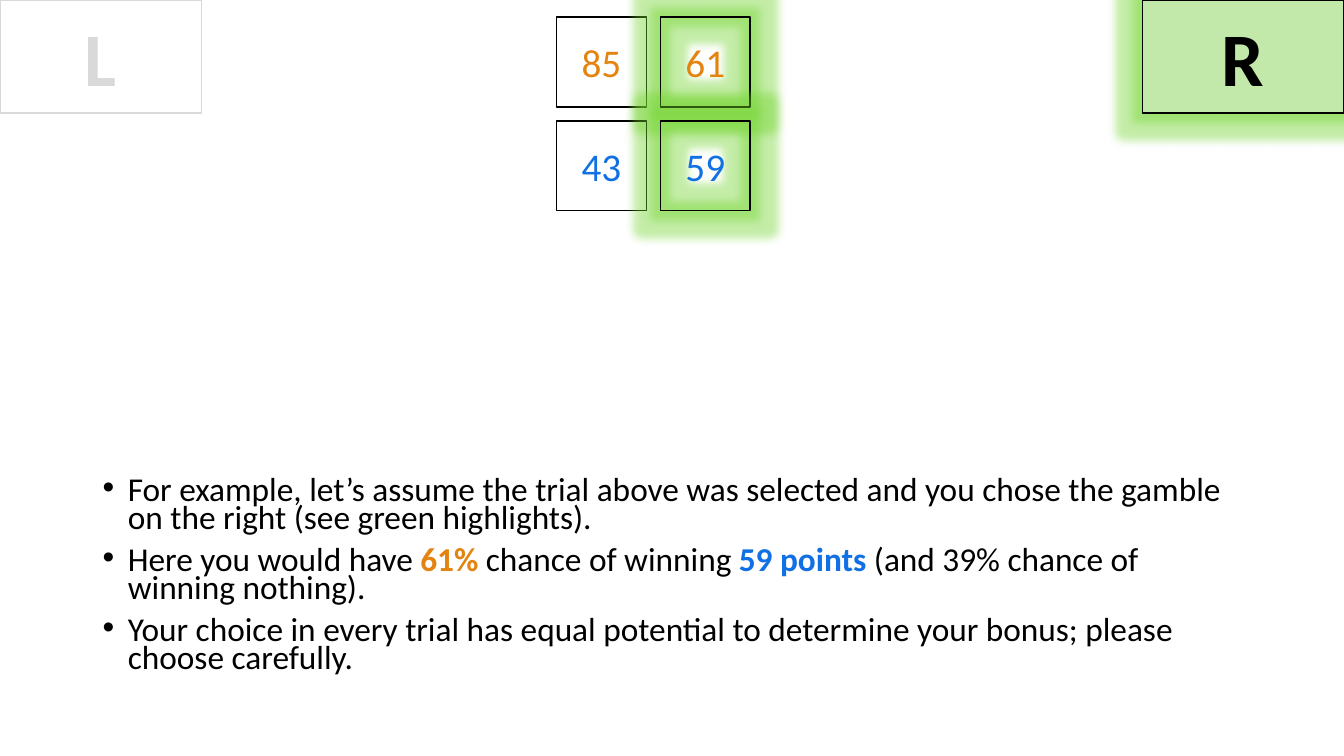
from lxml import etree
from pptx import Presentation
from pptx.dml.color import RGBColor
from pptx.enum.shapes import MSO_SHAPE as Shape
from pptx.enum.text import MSO_ANCHOR as Anchor, PP_ALIGN as Align
from pptx.oxml.ns import qn
from pptx.util import Inches, Pt

BLACK = RGBColor(0x00, 0x00, 0x00)
WHITE = RGBColor(0xFF, 0xFF, 0xFF)
GRAY = RGBColor(0xD9, 0xD9, 0xD9)
ORANGE = RGBColor(0xE3, 0x84, 0x11)
BLUE = RGBColor(0x11, 0x70, 0xE3)
PALE_GREEN = RGBColor(0xE2, 0xF0, 0xD9)
GLOW_GREEN = RGBColor(0x6C, 0xD3, 0x25)
FONT = "Calibri"


def add_span(para, text, size, color, bold=False):
    span = para.add_run()
    span.text = text
    font = span.font
    font.name, font.size, font.bold = FONT, Pt(size), bold
    font.color.rgb = color


def set_alpha(color_element, percent):
    etree.SubElement(color_element, qn("a:alpha"), val=str(percent * 1000))


def add_glow(box):
    effects = box._element.spPr.find(qn("a:effectLst"))
    glow = etree.SubElement(effects, qn("a:glow"), rad=str(Inches(0.18)))
    color = etree.SubElement(glow, qn("a:srgbClr"), val=str(GLOW_GREEN))
    set_alpha(color, 40)


def add_box(page, left, top, width, height, text, size, color,
            line=BLACK, fill=None, bold=False, chosen=False):
    box = page.shapes.add_shape(Shape.RECTANGLE, Inches(left), Inches(top),
                                Inches(width), Inches(height))
    box.shadow.inherit = False
    if fill is None:
        box.fill.background()
    else:
        box.fill.solid()
        box.fill.fore_color.rgb = fill
    box.line.color.rgb = line
    box.line.width = Pt(1)
    if chosen:
        add_glow(box)
    box.text_frame.vertical_anchor = Anchor.MIDDLE
    para = box.text_frame.paragraphs[0]
    para.alignment = Align.CENTER
    add_span(para, text, size, color, bold)
    return box


def add_buttons(page, left, top, width):
    """Left and right choice buttons at the two ends of the given width."""
    button_width, button_height = 2, 1.12
    add_box(page, left, top, button_width, button_height, "L", 54, GRAY,
            line=GRAY, fill=WHITE, bold=True)
    right = add_box(page, left + width - button_width, top, button_width,
                    button_height, "R", 54, BLACK, fill=PALE_GREEN,
                    bold=True, chosen=True)
    set_alpha(right._element.spPr.find(".//" + qn("a:srgbClr")), 54)


def add_gambles(page, left, top):
    """Chances over points, one column per gamble; the right one is chosen."""
    side, pitch = 0.89, 1.03
    rows = [(ORANGE, ("85", "61")), (BLUE, ("43", "59"))]
    for row, (color, values) in enumerate(rows):
        for column, value in enumerate(values):
            add_box(page, left + column * pitch, top + row * pitch, side, side,
                    value, 28, color, chosen=column == 1)


def add_explanation(page, left, top, width, height):
    """Bulleted text; each bullet is a list of (text, color, bold) spans."""
    bullets = [
        [("For example, let’s assume the trial above was selected and you "
          "chose the gamble on the right (see green highlights).", BLACK, False)],
        [("Here you would have ", BLACK, False),
         ("61% ", ORANGE, True),
         ("chance of winning ", BLACK, False),
         ("59 points ", BLUE, True),
         ("(and 39% chance of winning nothing).", BLACK, False)],
        [("Your choice in every trial has equal potential to determine your "
          "bonus; please choose carefully.", BLACK, False)],
    ]
    frame = page.shapes.add_textbox(Inches(left), Inches(top), Inches(width),
                                    Inches(height)).text_frame
    frame.word_wrap = True
    for index, spans in enumerate(bullets):
        para = frame.add_paragraph() if index else frame.paragraphs[0]
        para.line_spacing = 0.7
        para.space_before = Pt(10 if index else 0)
        props = para._p.get_or_add_pPr()
        props.set("marL", str(Inches(0.25)))
        props.set("indent", str(Inches(-0.25)))
        etree.SubElement(props, qn("a:buFont"), typeface="Arial")
        etree.SubElement(props, qn("a:buChar"), char="•")
        for text, color, bold in spans:
            add_span(para, text, 23.8, color, bold)


def main():
    deck = Presentation()
    deck.slide_width, deck.slide_height = Inches(13.33), Inches(7.5)
    page = deck.slides.add_slide(deck.slide_layouts[6])
    add_explanation(page, 0.92, 4.7, 11.5, 2.22)
    add_buttons(page, 0, 0, 13.33)
    add_gambles(page, 5.52, 0.17)
    deck.save("out.pptx")


if __name__ == "__main__":
    main()
